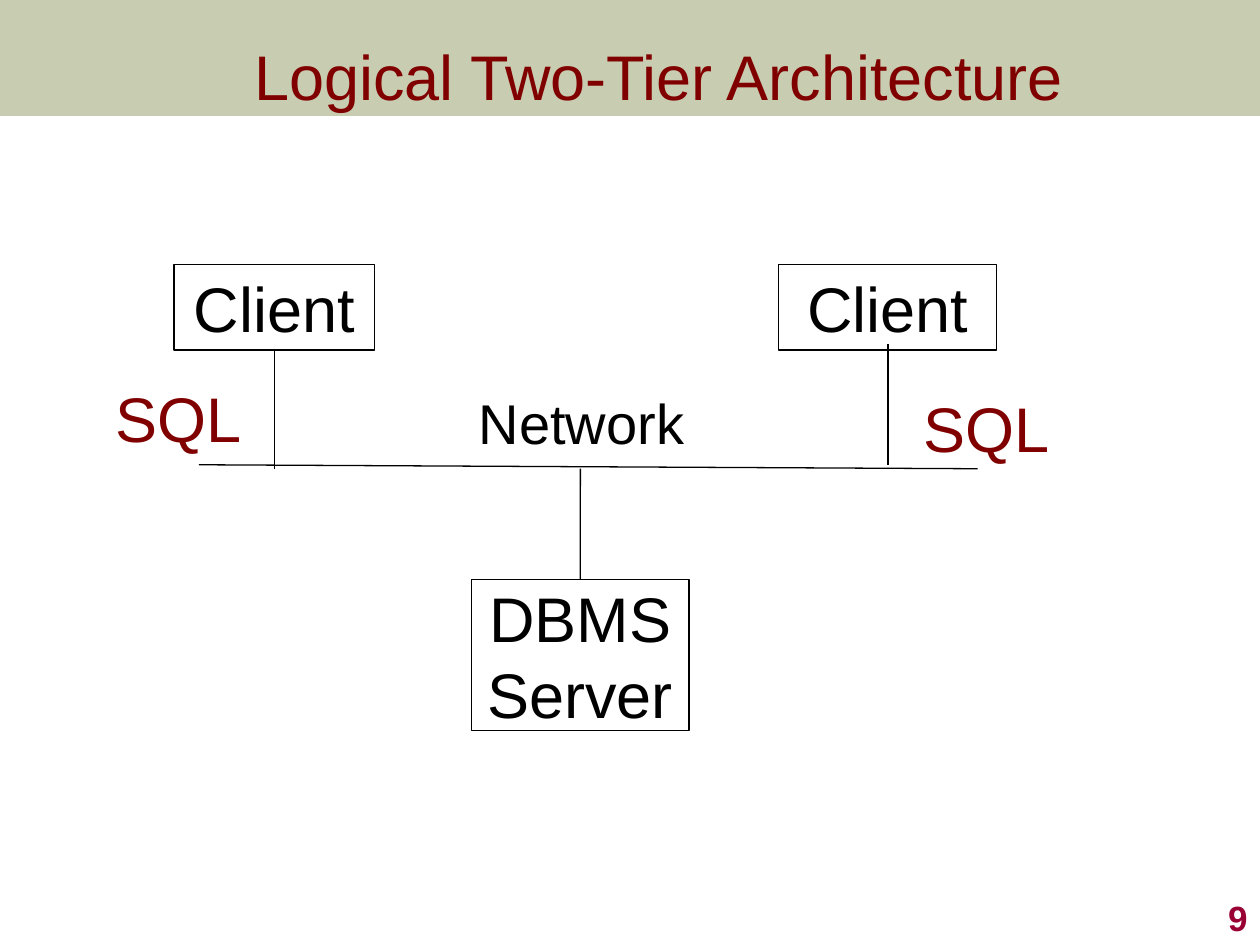
from lxml.etree import SubElement
from pptx import Presentation
from pptx.dml.color import RGBColor
from pptx.enum.shapes import MSO_CONNECTOR, MSO_SHAPE
from pptx.enum.text import MSO_ANCHOR as Anchor, MSO_AUTO_SIZE as AutoSize, PP_ALIGN as Align
from pptx.oxml.ns import qn
from pptx.util import Cm, Pt

THEME = {
    "font": "Arial",
    "ink": "000000", "accent": "800000", "number": "990033", "band": "677228",
    "band_alpha": 36,
    "large": 36, "medium": 32, "small": 20,
    "line": 0.75,
}

# Content: positions are left, top, width, height in centimetres
TITLE = ("Logical Two-Tier Architecture", (2.44, 0.13, 21.67, 2.77))
BAND = (0, 0, 25.4, 2.34)
NODES = {
    "server": ("DBMS\nServer", (9.5, 11.68, 4.39, 3.05)),
    "right client": ("Client", (15.7, 5.33, 4.39, 1.73)),
    "left client": ("Client", (3.51, 5.33, 4.04, 1.73)),
}
NETWORK = ("Network", (9.4, 7.7, 4.7, 1.63))
SQL_LABELS = [
    ("SQL", (1.7, 7.52, 3.81, 1.8)),
    ("SQL", (17.98, 7.72, 3.81, 1.8)),
]
PAGE_NUMBER = ("9", (20.12, 17.78, 5.28, 1.27))

# Wires: start x, y and end x, y in centimetres
BUS = (4.01, 9.37, 19.71, 9.45)
LEFT_DROP = (5.53, 7.06, 5.53, 9.45)
SERVER_DROP = (11.7, 9.45, 11.7, 11.68)
RIGHT_DROP = (17.9, 6.93, 17.9, 9.37)


def lengths(values):
    return [Cm(value) for value in values]


def color(name):
    return RGBColor.from_string(THEME[name])


def write(box, text, size="large", ink="ink", align=Align.CENTER,
          anchor=Anchor.TOP, wrap=True, bold=False, fit=AutoSize.NONE):
    frame = box.text_frame
    frame.text = text
    frame.word_wrap = wrap
    frame.auto_size = fit
    frame.vertical_anchor = anchor
    for para in frame.paragraphs:
        para.alignment = align
        for span in para.runs:
            span.font.name = THEME["font"]
            span.font.size = Pt(THEME[size])
            span.font.bold = bold
            span.font.color.rgb = color(ink)


def add_rectangle(page, place):
    box = page.shapes.add_shape(MSO_SHAPE.RECTANGLE, *lengths(place))
    box.shadow.inherit = False
    return box


def add_band(page):
    band = add_rectangle(page, BAND)
    band.line.fill.background()
    band.fill.solid()
    band.fill.fore_color.rgb = color("band")
    tint = band.element.spPr.find(qn("a:solidFill")).find(qn("a:srgbClr"))
    SubElement(tint, qn("a:alpha"), val=str(THEME["band_alpha"] * 1000))
    page.shapes.title.element.addprevious(band.element)


def add_node(page, text, place):
    node = add_rectangle(page, place)
    node.fill.background()
    node.line.color.rgb = color("ink")
    node.line.width = Pt(THEME["line"])
    write(node, text, anchor=Anchor.MIDDLE, wrap=False)
    return node


def add_label(page, text, place, **style):
    write(page.shapes.add_textbox(*lengths(place)), text, **style)


def add_wire(page, ends):
    wire = page.shapes.add_connector(MSO_CONNECTOR.STRAIGHT, *lengths(ends))
    wire.line.color.rgb = color("ink")
    wire.line.width = Pt(THEME["line"])
    SubElement(wire.element.spPr, qn("a:effectLst"))
    return wire


def main():
    deck = Presentation()
    deck.slide_width, deck.slide_height = lengths((25.4, 19.05))
    page = deck.slides.add_slide(deck.slide_layouts[5])

    # Title over a tinted band
    text, place = TITLE
    title = page.shapes.title
    title.left, title.top, title.width, title.height = lengths(place)
    write(title, text, ink="accent", anchor=Anchor.MIDDLE)
    add_band(page)

    # Clients and server
    nodes = {name: add_node(page, *node) for name, node in NODES.items()}

    # Network wires
    add_label(page, *NETWORK, size="medium", align=Align.LEFT, wrap=False,
              fit=AutoSize.SHAPE_TO_FIT_TEXT)
    add_wire(page, BUS)
    add_wire(page, LEFT_DROP).begin_connect(nodes["left client"], 2)
    add_wire(page, SERVER_DROP).end_connect(nodes["server"], 0)
    add_wire(page, RIGHT_DROP)

    # Query labels and page number
    for label in SQL_LABELS:
        add_label(page, *label, ink="accent", fit=AutoSize.SHAPE_TO_FIT_TEXT)
    add_label(page, *PAGE_NUMBER, size="small", ink="number",
              align=Align.RIGHT, anchor=Anchor.BOTTOM, bold=True)

    deck.save("out.pptx")


if __name__ == "__main__":
    main()
